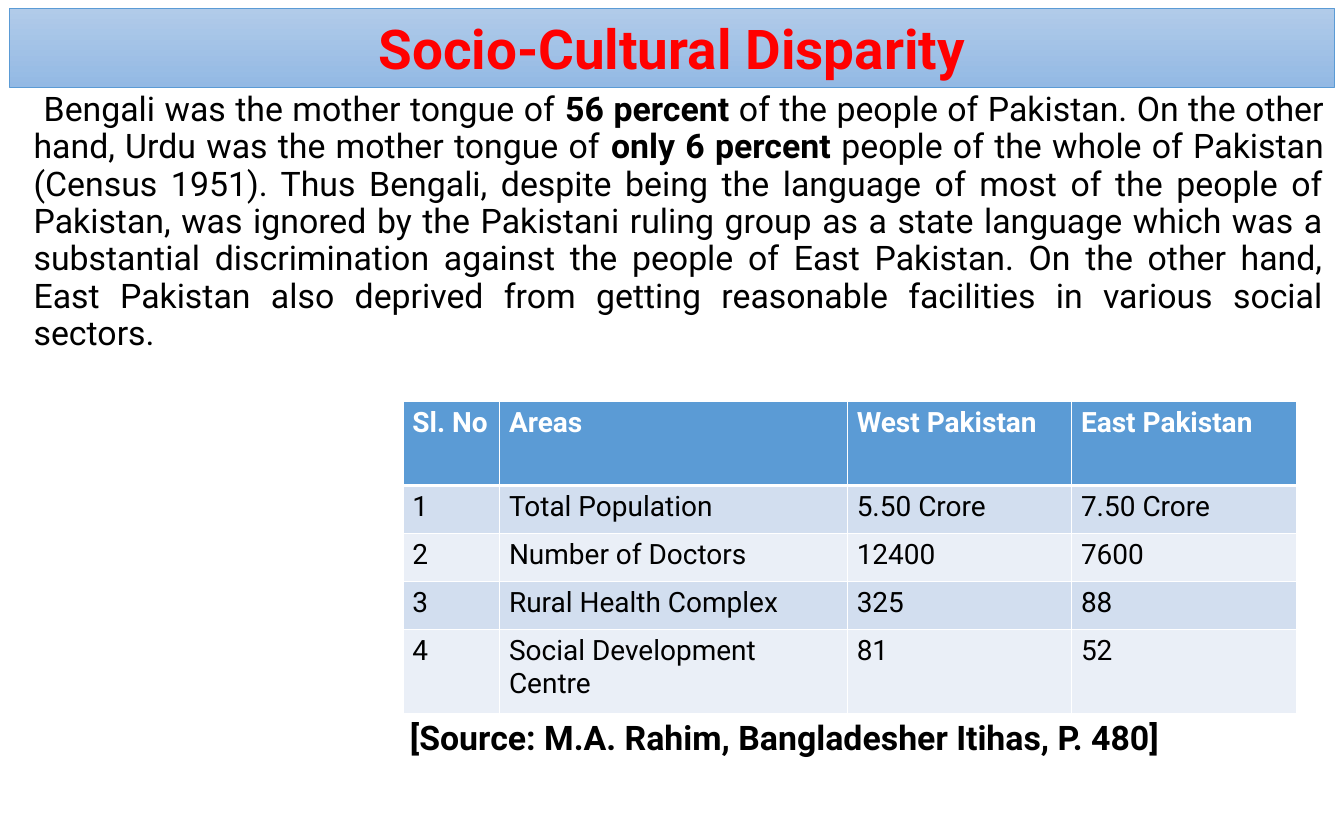
from lxml.etree import SubElement
from pptx import Presentation
from pptx.dml.color import RGBColor
from pptx.enum.text import MSO_ANCHOR, MSO_AUTO_SIZE, PP_ALIGN
from pptx.oxml import parse_xml
from pptx.oxml.ns import nsdecls, qn
from pptx.util import Inches, Pt

BLACK, WHITE, RED, BLUE = "000000", "FFFFFF", "FF0000", "5B9BD5"
BANDS = ("D2DEEF", "EAEFF7")

TITLE = "Socio-Cultural Disparity"
LANGUAGE_DISPARITY = [
    ("Bengali was the mother tongue of ", False),
    ("56 percent", True),
    (" of the people of Pakistan. On the other hand, Urdu was the mother tongue of ", False),
    ("only 6 percent", True),
    (" people of the whole of Pakistan (Census 1951). Thus Bengali, despite being the "
     "language of most of the people of Pakistan, was ignored by the Pakistani ruling group "
     "as a state language which was a substantial discrimination against the people of East "
     "Pakistan. On the other hand, East Pakistan also deprived from getting reasonable "
     "facilities in various social sectors.", False),
]
SOURCE = [("[Source: M.A. Rahim, Bangladesher Itihas, P. 480]", True)]
FACILITIES = [
    ("Sl. No", "Areas", "West Pakistan", "East Pakistan"),
    ("1", "Total Population", "5.50 Crore", "7.50 Crore"),
    ("2", "Number of Doctors", "12400", "7600"),
    ("3", "Rural Health Complex", "325", "88"),
    ("4", "Social Development Centre", "81", "52"),
]


def rgb(color):
    return RGBColor.from_string(color)


def add_text(paragraph, text, size=29, color=BLACK, bold=False, font="Roboto"):
    run = paragraph.add_run()
    run.text = text
    run.font.name, run.font.size, run.font.bold = font, Pt(size), bold
    run.font.color.rgb = rgb(color)


def place(shape, left, top, width, height):
    shape.left, shape.top = Inches(left), Inches(top)
    shape.width, shape.height = Inches(width), Inches(height)


def set_margins(holder, left, top, right, bottom):
    holder.margin_left, holder.margin_top = Inches(left), Inches(top)
    holder.margin_right, holder.margin_bottom = Inches(right), Inches(bottom)


def set_borders(cell, bottom):
    """Draw white cell borders, 1 pt except for the given bottom width."""
    properties = cell._tc.get_or_add_tcPr()
    for position, (side, width) in enumerate(zip("LRTB", (1, 1, 1, bottom))):
        properties.insert(position, parse_xml(
            f'<a:ln{side} {nsdecls("a")} w="{Pt(width)}"><a:solidFill>'
            f'<a:srgbClr val="{WHITE}"/></a:solidFill></a:ln{side}>'))


class DisparitySlide:
    """Holds the slide and draws its parts in one style."""

    def __init__(self, presentation):
        self.slide = presentation.slides.add_slide(presentation.slide_layouts[1])

    def title(self, text):
        banner = self.slide.shapes.title
        place(banner, 0.11, 0.1, 15.78, 0.94)
        banner.fill.gradient()
        banner.fill.gradient_angle = 270
        for stop, color in zip(banner.fill.gradient_stops, ("B1CBE9", "93B9E4")):
            stop.color.rgb = rgb(color)
        banner.line.color.rgb = rgb(BLUE)
        banner.line.width = Pt(0.5)
        frame = banner.text_frame
        frame.auto_size = MSO_AUTO_SIZE.NONE
        frame.vertical_anchor = MSO_ANCHOR.MIDDLE
        set_margins(frame, 0.15, 0.07, 0.15, 0.07)
        frame.paragraphs[0].alignment = PP_ALIGN.CENTER
        add_text(frame.paragraphs[0], text, size=47, color=RED, bold=True)

    def body(self):
        body = self.slide.placeholders[1]
        place(body, 0, 1.02, 15.89, 9.09)
        frame = body.text_frame
        frame.auto_size = MSO_AUTO_SIZE.NONE
        frame.vertical_anchor = MSO_ANCHOR.TOP
        set_margins(frame, 0.1, 0.07, 0.12, 0.07)
        return frame

    def paragraph(self, paragraph, runs, margin, indent=0, before=0, align=PP_ALIGN.LEFT):
        """Fill an unbulleted body paragraph with (text, bold) runs."""
        paragraph.alignment = align
        paragraph.line_spacing = 0.92
        paragraph.space_before = Pt(before)
        properties = paragraph._p.get_or_add_pPr()
        properties.set("marL", str(Inches(margin)))
        properties.set("indent", str(Inches(indent)))
        SubElement(properties, qn("a:buNone"))
        for text, bold in runs:
            add_text(paragraph, text, bold=bold)

    def table(self, rows, left, top, widths, heights):
        table = self.slide.shapes.add_table(
            len(rows), len(widths), Inches(left), Inches(top),
            Inches(sum(widths)), Inches(sum(heights))).table
        for column, width in zip(table.columns, widths):
            column.width = Inches(width)
        for row, height in zip(table.rows, heights):
            row.height = Inches(height)
        for r, row in enumerate(rows):
            header = r == 0
            for c, text in enumerate(row):
                cell = table.cell(r, c)
                cell.fill.solid()
                cell.fill.fore_color.rgb = rgb(BLUE if header else BANDS[(r - 1) % 2])
                set_margins(cell, 0.11, 0.06, 0.11, 0.06)
                set_borders(cell, bottom=3 if header else 1)
                add_text(cell.text_frame.paragraphs[0], text, size=24,
                         color=WHITE if header else BLACK, bold=header)


def main():
    presentation = Presentation()
    presentation.slide_width, presentation.slide_height = Inches(16), Inches(10)
    disparity = DisparitySlide(presentation)
    disparity.title(TITLE)
    body = disparity.body()
    disparity.paragraph(body.paragraphs[0], LANGUAGE_DISPARITY, margin=0.3,
                        indent=0.12, align=PP_ALIGN.JUSTIFY)
    disparity.paragraph(body.add_paragraph(), SOURCE, margin=4.78, before=315)
    disparity.table(FACILITIES, 4.8, 4.78, widths=(1.15, 4.14, 2.67, 2.67),
                    heights=(1, 0.57, 0.57, 0.57, 1))
    presentation.save("out.pptx")


if __name__ == "__main__":
    main()
